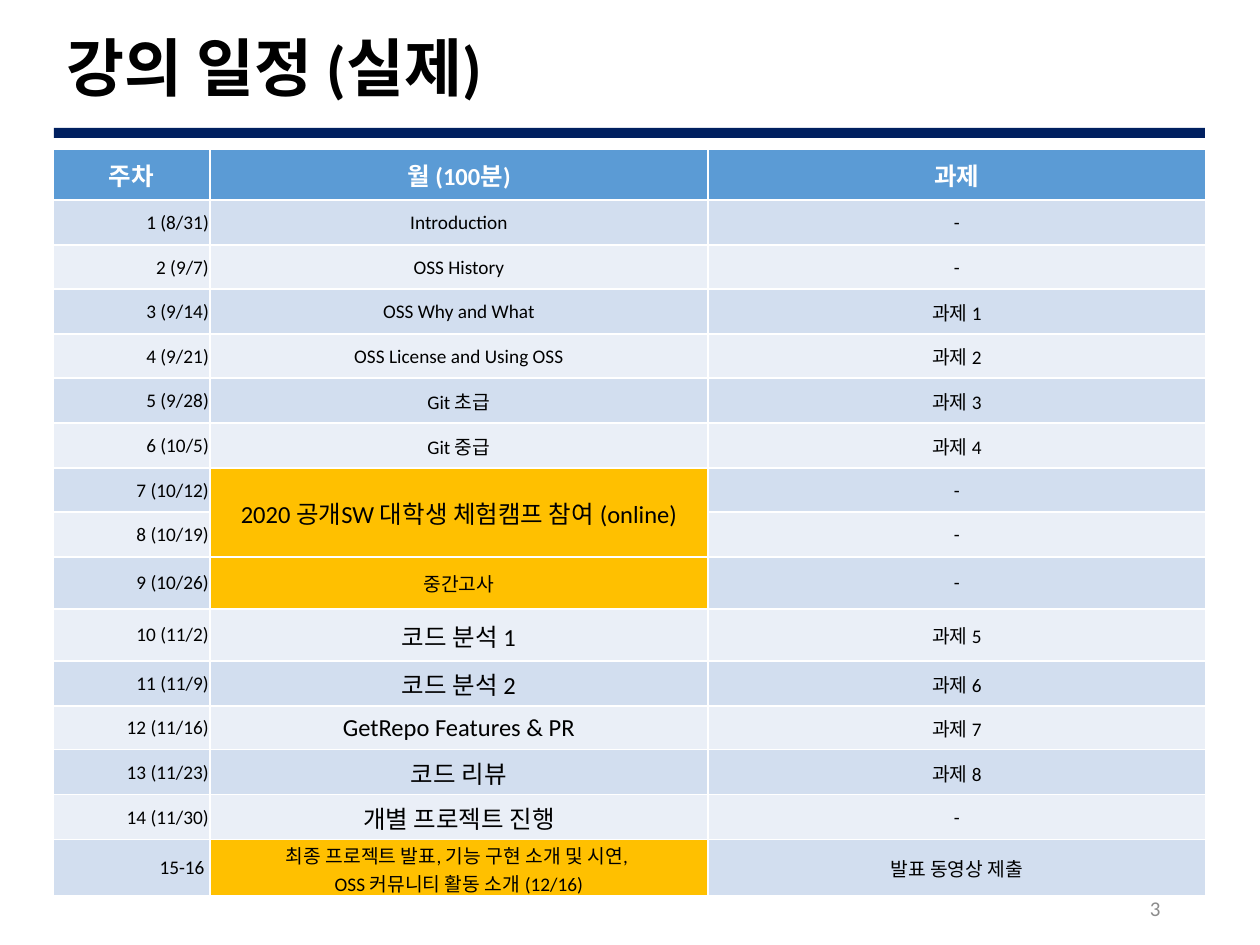
from itertools import pairwise

from pptx import Presentation
from pptx import util as u
from pptx.dml.color import RGBColor
from pptx.enum import shapes, text

PX = 914400 // 126
COLORS = {
    "navy": "002060", "header": "5B9BD5", "odd": "D2DEEF", "even": "EAEFF7",
    "event": "FFC000", "black": "000000", "white": "FFFFFF", "gray": "8C8C8C",
}
AL = text.PP_ALIGN


def color(name):
    return RGBColor.from_string(COLORS[name])


def write(p, words, size, name, align, bold=False):
    p.text = words
    p.alignment = align
    p.font.name = "Calibri"
    p.font.size = u.Pt(size)
    p.font.bold = bold
    p.font.color.rgb = color(name)


prs = Presentation()
prs.slide_width, prs.slide_height = u.Inches(10), u.Inches(7.5)
s = prs.slides.add_slide(prs.slide_layouts[6])

# Rule under the title
sp = s.shapes.add_shape(shapes.MSO_SHAPE.RECTANGLE, 54 * PX, 128 * PX, 1151 * PX, 10 * PX)
sp.shadow.inherit = False
sp.fill.solid()
sp.fill.fore_color.rgb = color("navy")
sp.line.fill.background()

# Title and page number
for box, words, size, name, align, bold in [
    ((54, 23, 1151, 97), "강의 일정 (실제)", 36, "black", AL.LEFT, True),
    ((890, 888, 283, 44), "3", 12, "gray", AL.RIGHT, False),
]:
    tf = s.shapes.add_textbox(*(n * PX for n in box)).text_frame
    tf.word_wrap = True
    tf.vertical_anchor = text.MSO_ANCHOR.MIDDLE
    write(tf.paragraphs[0], words, size, name, align, bold)
    tf.paragraphs[0].line_spacing = 0.9

# Schedule: week, topic, topic size, assignment
schedule = [
    ("주차", "월 (100분)", 14, "과제"),
    ("1 (8/31)", "Introduction", 11, "-"),
    ("2 (9/7)", "OSS History", 11, "-"),
    ("3 (9/14)", "OSS Why and What", 11, "과제 1"),
    ("4 (9/21)", "OSS License and Using OSS", 11, "과제 2"),
    ("5 (9/28)", "Git 초급", 11, "과제 3"),
    ("6 (10/5)", "Git 중급", 11, "과제 4"),
    ("7 (10/12)", "2020\u00a0공개SW\u00a0대학생 체험캠프 참여 (online)", 14, "-"),
    ("8 (10/19)", "", 14, "-"),
    ("9 (10/26)", "중간고사", 11, "-"),
    ("10 (11/2)", "코드 분석 1", 14, "과제 5"),
    ("11 (11/9)", "코드 분석 2", 14, "과제 6"),
    ("12 (11/16)", "GetRepo Features & PR", 14, "과제 7"),
    ("13 (11/23)", "코드 리뷰", 14, "과제 8"),
    ("14 (11/30)", "개별 프로젝트 진행", 14, "-"),
    ("15-16 ", "최종 프로젝트 발표, 기능 구현 소개 및 시연, \vOSS 커뮤니티 활동 소개 (12/16)",
     11, "발표 동영상 제출"),
]
event_rows = {7, 8, 9, 15}
row_edges = [149, 200, 245, 289, 334, 378, 423, 468, 512,
             557, 609, 661, 706, 750, 795, 840, 896]
col_edges = [53, 210, 708, 1206]

table = s.shapes.add_table(
    len(schedule), 3, col_edges[0] * PX, row_edges[0] * PX,
    (col_edges[-1] - col_edges[0]) * PX, (row_edges[-1] - row_edges[0]) * PX).table
for col, (left, right) in zip(table.columns, pairwise(col_edges)):
    col.width = (right - left) * PX
for row, (top, bottom) in zip(table.rows, pairwise(row_edges)):
    row.height = (bottom - top) * PX
table.cell(7, 1).merge(table.cell(8, 1))

for i, (week, topic, topic_size, task) in enumerate(schedule):
    for j, (words, size) in enumerate([(week, 11), (topic, topic_size), (task, 11)]):
        cell = table.cell(i, j)
        cell.vertical_anchor = text.MSO_ANCHOR.MIDDLE
        fill = "odd" if i % 2 else "even"
        if i == 0:
            fill = "header"
        elif j == 1 and i in event_rows:
            fill = "event"
        cell.fill.solid()
        cell.fill.fore_color.rgb = color(fill)
        if i == 0:
            write(cell.text_frame.paragraphs[0], words, 14, "white", AL.CENTER, True)
            continue
        cell.margin_left = cell.margin_top = cell.margin_right = PX
        cell.margin_bottom = 0
        if not cell.is_spanned:
            write(cell.text_frame.paragraphs[0], words, size, "black",
                  AL.CENTER if j else AL.RIGHT)

prs.save("out.pptx")
